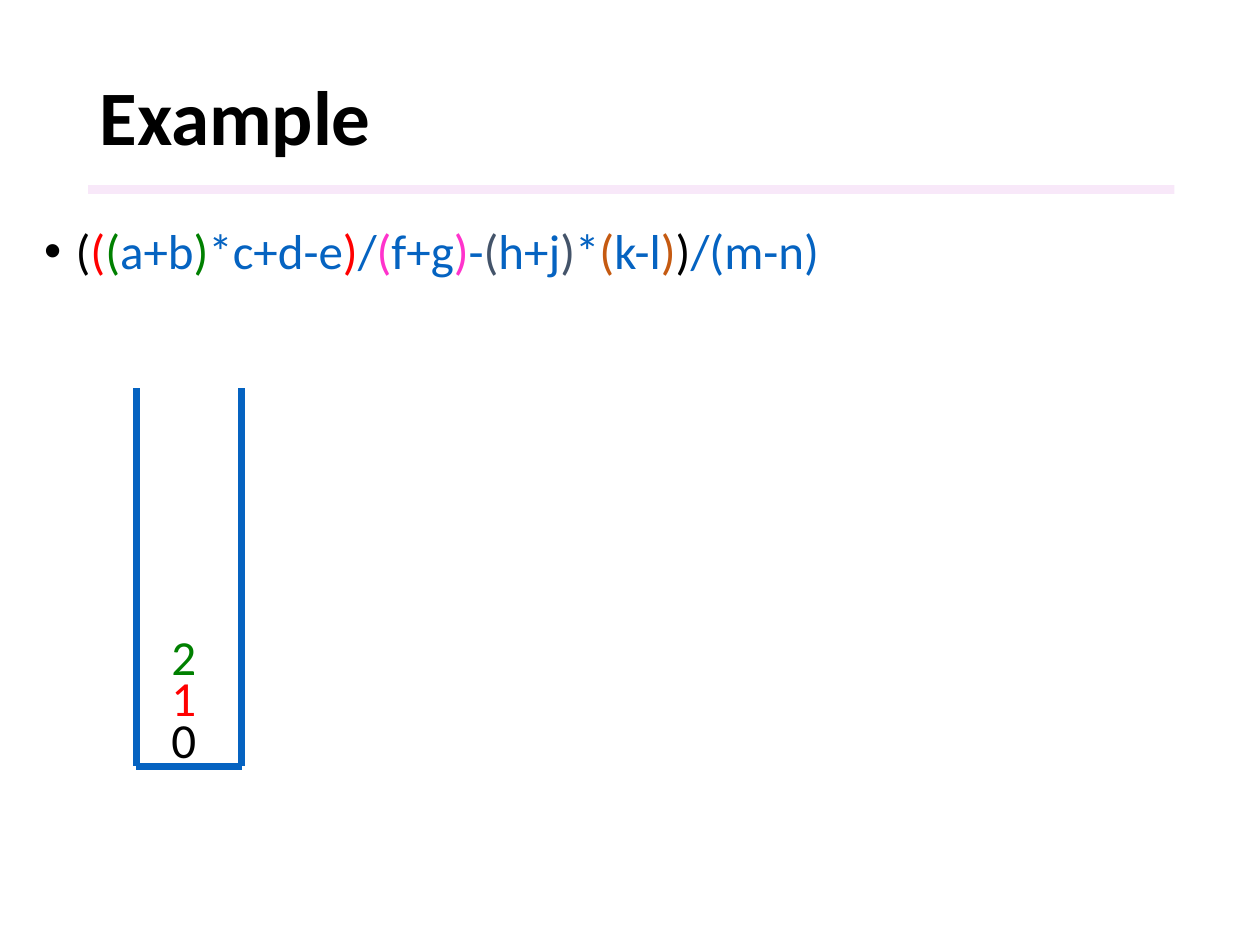
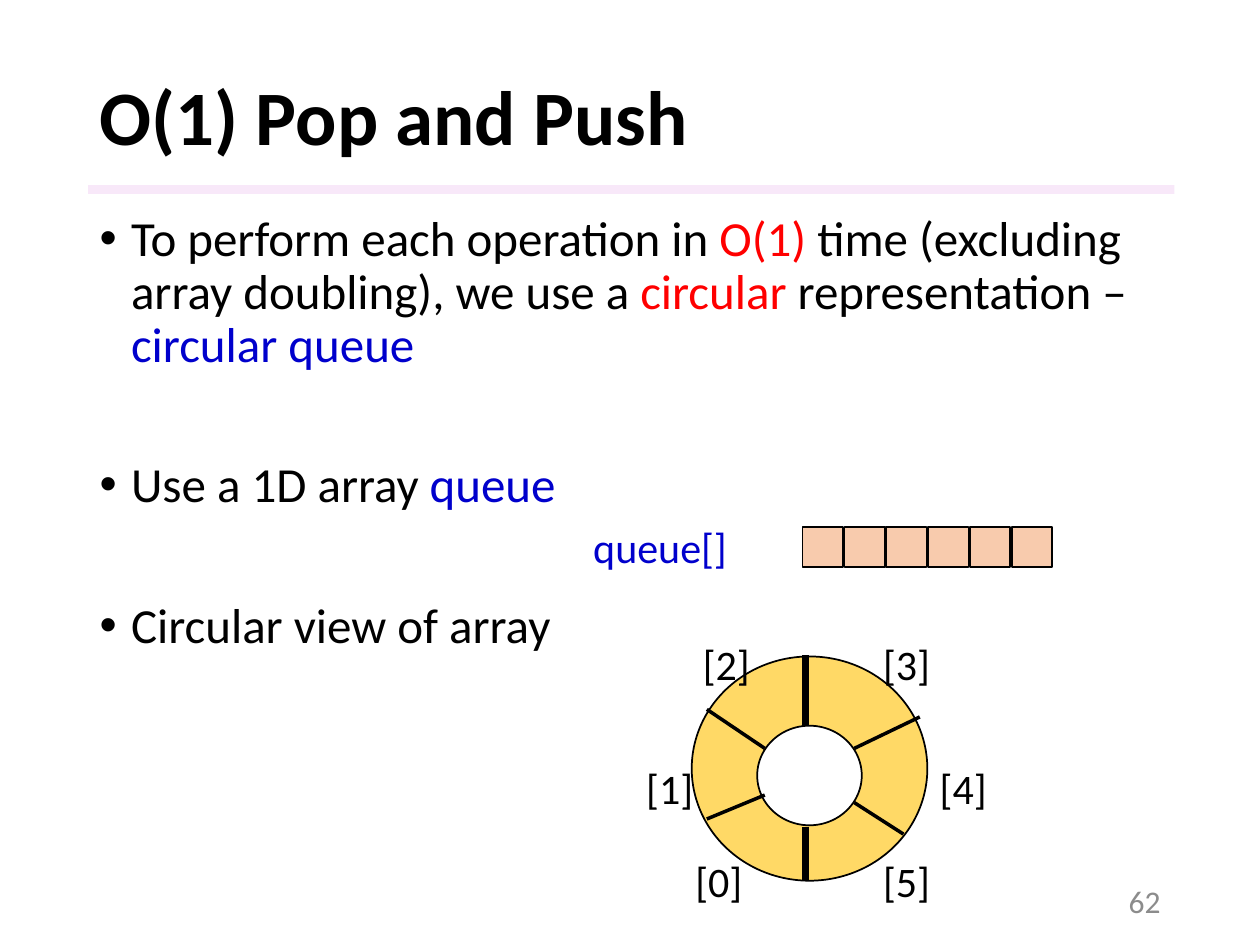
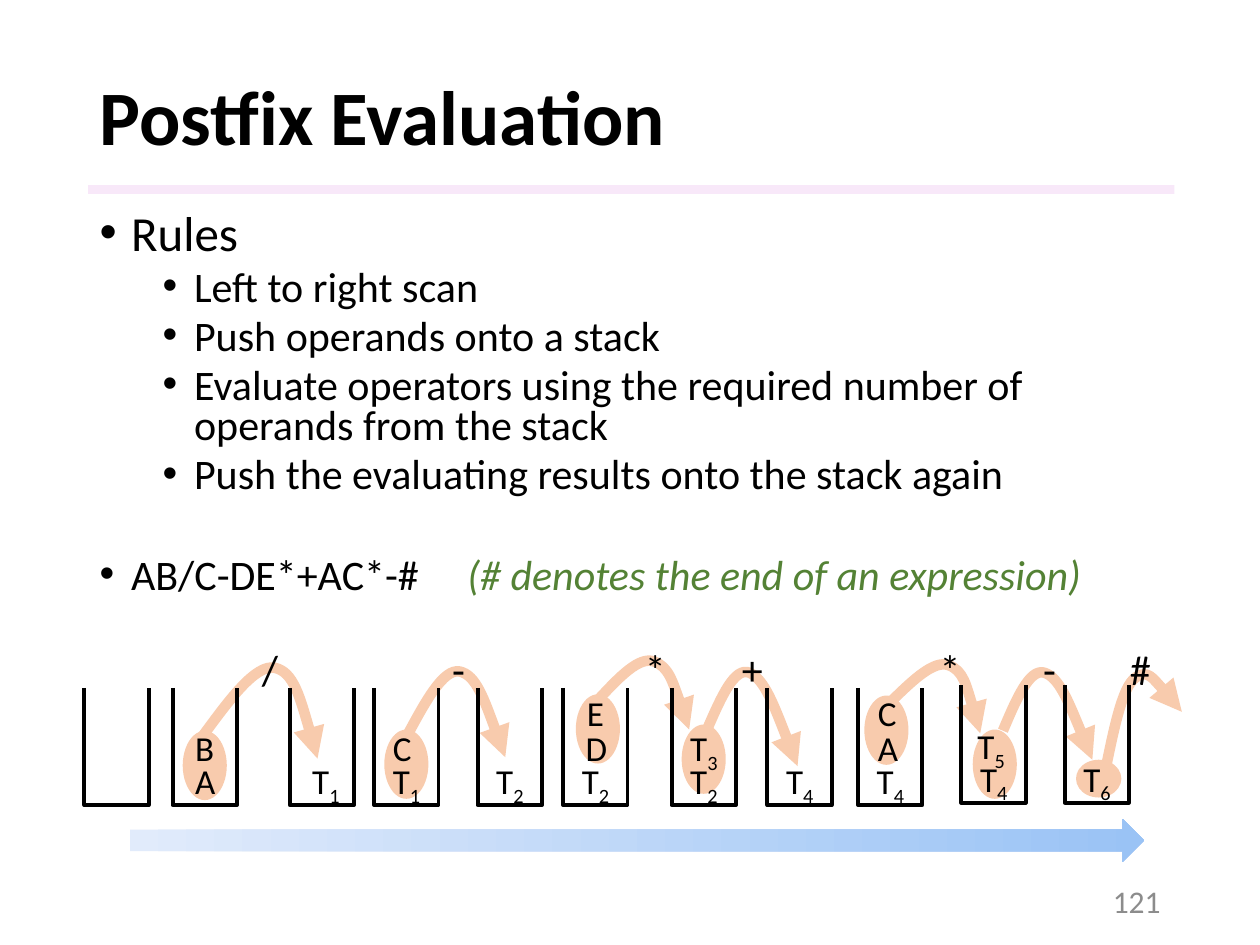
import pptx
import pptx.util
import pptx.dml.color
import pptx.enum.shapes
import pptx.enum.text
import pptx.oxml
import pptx.oxml.ns

Inches, Pt = pptx.util.Inches, pptx.util.Pt
SHAPE = pptx.enum.shapes.MSO_SHAPE
ALIGN = pptx.enum.text.PP_ALIGN
ANCHOR = pptx.enum.text.MSO_ANCHOR
AUTO = pptx.enum.text.MSO_AUTO_SIZE

# Shared look
FONT = "Calibri"
BLACK, WHITE, GREY = "000000", "FFFFFF", "8C8C8C"
RED, GREEN, BLUE, NAVY = "FF0000", "008000", "0563C1", "0000CC"
PINK, SLATE, RUST, MOSS = "FF33CC", "44546A", "C55A11", "548235"
PEACH, YELLOW, BAND = "F8CBAD", "FFD966", "F3D2F4"
TITLE_BOX = (0.69, 0.4, 8.62, 1.11)
BODY_BOX = (0.69, 1.65, 8.62, 5.1)
BAND_BOX = (0.7, 1.47, 8.62, 0.07)
NUMBER_BOX = (7.06, 6.95, 2.25, 0.4)


def rgb(color):
    return pptx.dml.color.RGBColor.from_string(color)


def apply(obj, values):
    for name, value in values.items():
        setattr(obj, name, value)


def place(shape, box):
    apply(shape, dict(zip(("left", "top", "width", "height"), map(Inches, box))))


def xml(tag, **attrs):
    e = pptx.oxml.parse_xml(f"<a:{tag} {pptx.oxml.ns.nsdecls('a')}/>")
    for name, value in attrs.items():
        e.set(name, str(value))
    return e


# Text
def add_run(p, text, color=BLACK, size=28, **font):
    r = p.add_run()
    r.text = text
    apply(r.font, {"name": FONT, "size": Pt(size), **font})
    r.font.color.rgb = rgb(color)
    return r


def add_text(s, box, text, size, color=BLACK, wrap=True, sub="", inset=0.1,
             align=ALIGN.LEFT, anchor=ANCHOR.TOP):
    tf = s.shapes.add_textbox(*map(Inches, box)).text_frame
    apply(tf, {"word_wrap": wrap, "auto_size": AUTO.SHAPE_TO_FIT_TEXT,
               "margin_left": Inches(inset), "vertical_anchor": anchor})
    p = tf.paragraphs[0]
    p.alignment = align
    add_run(p, text, color, size)
    if sub:
        add_run(p, sub, color, size).font._element.set("baseline", "-25000")


def bullet(p, runs, indent=0.25, before=10, spacing=0.9, tab=None):
    pPr = p._p.get_or_add_pPr()
    pPr.set("marL", str(Inches(indent)))
    pPr.set("indent", str(Inches(-0.25)))
    pPr.append(xml("buChar", char="•"))
    if tab:
        tabs = xml("tabLst")
        tabs.append(xml("tab", pos=Inches(tab), algn="l"))
        pPr.append(tabs)
    apply(p, {"line_spacing": spacing, "space_before": Pt(before)})
    for text, color, font in runs:
        add_run(p, text, color, **font)


# Shapes and lines
def add_shape(s, kind, box, fill, line=None):
    shape = s.shapes.add_shape(kind, *map(Inches, box))
    shape.shadow.inherit = False
    shape.fill.solid()
    shape.fill.fore_color.rgb = rgb(fill)
    if line:
        shape.line.color.rgb = rgb(line)
        shape.line.width = Pt(1)
    else:
        shape.line.fill.background()
    return shape


def add_line(s, start, end, color, width):
    c = s.shapes.add_connector(pptx.enum.shapes.MSO_CONNECTOR.STRAIGHT,
                               *map(Inches, start + end))
    c.line.color.rgb = rgb(color)
    c.line.width = Pt(width)
    c._element.spPr.append(xml("effectLst"))


def add_outline(s, points, color, width):
    points = [(Inches(x), Inches(y)) for x, y in points]
    builder = s.shapes.build_freeform(*points[0], scale=1.0)
    builder.add_line_segments(points[1:], close=False)
    shape = builder.convert_to_shape()
    shape.shadow.inherit = False
    shape.fill.background()
    shape.line.color.rgb = rgb(color)
    shape.line.width = Pt(width)
    return shape


def add_hop(s, start, peak, end):
    """Curved arrow through peak, which is tangent there to start-end."""
    def mid(a, b):
        return tuple((u + v) / 2 for u, v in zip(a, b))
    pull = [(e - b) / 6 for b, e in zip(start, end)]
    enter = tuple(v - d for v, d in zip(peak, pull))
    leave = tuple(v + d for v, d in zip(peak, pull))
    shape = add_outline(s, [start, mid(start, enter), enter, peak,
                            leave, mid(leave, end), end], PEACH, 6)
    # Turn each three straight segments into one cubic segment
    segments = shape._element.findall(".//" + pptx.oxml.ns.qn("a:lnTo"))
    outline = segments[0].getparent()
    for i in range(0, len(segments), 3):
        curve = xml("cubicBezTo")
        outline.append(curve)
        for segment in segments[i:i + 3]:
            curve.append(segment[0])
            outline.remove(segment)
    shape.line._get_or_add_ln().append(xml("tailEnd", type="triangle"))


# Slide frame
def set_up_layout(prs, s):
    layout = s.slide_layout
    place(layout.placeholders[0], TITLE_BOX)
    place(layout.placeholders[1], BODY_BOX)
    band = add_shape(s, SHAPE.RECTANGLE, BAND_BOX, BAND)
    band.fill._xPr.find(".//" + pptx.oxml.ns.qn("a:srgbClr")).append(
        xml("alpha", val=50000))
    layout.shapes._spTree.insert(2, band._element)


def new_slide(prs, title, items, number=None, body_box=BODY_BOX):
    s = prs.slides.add_slide(prs.slide_layouts[1])
    if len(prs.slides) == 1:
        set_up_layout(prs, s)
    tf = s.shapes.title.text_frame
    apply(tf, {"vertical_anchor": ANCHOR.MIDDLE, "auto_size": AUTO.NONE})
    p = tf.paragraphs[0]
    apply(p, {"alignment": ALIGN.LEFT, "line_spacing": 0.9})
    add_run(p, title, size=44, bold=True)
    body = s.placeholders[1]
    place(body, body_box)
    tf = body.text_frame
    tf.auto_size = AUTO.NONE
    for i, (runs, fmt) in enumerate(items):
        p = tf.add_paragraph() if i else tf.paragraphs[0]
        bullet(p, runs, **({} if i else {"before": 0}), **fmt)
    if number:
        add_text(s, NUMBER_BOX, number, 18, GREY, align=ALIGN.RIGHT,
                 anchor=ANCHOR.MIDDLE)
    return s


# Parenthesis matching
def open_stack(s, x, y, w, h, items):
    corners = [(x, y), (x, y + h), (x + w, y + h), (x + w, y)]
    for start, end in zip(corners, corners[1:]):
        add_line(s, start, end, BLUE, 4)
    for i, (label, color) in enumerate(items):
        add_text(s, (x + 0.09, y + h - 0.5 - 0.33 * i, 0.58, 0.57), label, 28,
                 color, inset=0.19)


def example_slide(prs):
    parts = [("(", BLACK), ("(", RED), ("(", GREEN), ("a+b", BLUE), (")", GREEN),
             ("*c+d-e", BLUE), (")", RED), ("/", BLUE), ("(", PINK), ("f+g", BLUE),
             (")", PINK), ("-", BLUE), ("(", SLATE), ("h+j", BLUE), (")", SLATE),
             ("*", BLUE), ("(", RUST), ("k-l", BLUE), (")", RUST), (")", BLACK),
             ("/(m-n)", BLUE)]
    s = new_slide(prs, "Example", [([(t, c, {}) for t, c in parts], {})],
                  body_box=(0.25, 1.75, 9.58, 0.75))
    open_stack(s, 1.08, 3.08, 0.84, 3, [("0", BLACK), ("1", RED), ("2", GREEN)])


# Circular queue
def array_row(s, x, y, cells=6, size=0.32, pitch=0.332):
    for i in range(cells):
        add_shape(s, SHAPE.RECTANGLE, (x + 1.76 + pitch * i, y + 0.09, size, size),
                  PEACH, BLACK)
    add_text(s, (x, y, 1.42, 0.51), "queue[]", 24, NAVY)


def ring(s, x, y):
    add_shape(s, SHAPE.OVAL, (x + 0.46, y + 0.19, 1.87, 1.78), YELLOW, BLACK)
    add_shape(s, SHAPE.OVAL, (x + 0.98, y + 0.74, 0.83, 0.79), WHITE, BLACK)
    spokes = [(1.36, 0.18, 1.36, 0.74, 4), (1.36, 1.54, 1.36, 1.97, 4),
              (0.58, 0.61, 1.04, 0.92, 2), (1.04, 1.29, 0.58, 1.48, 2),
              (1.75, 0.92, 2.27, 0.67, 2), (1.75, 1.35, 2.14, 1.6, 2)]
    for x1, y1, x2, y2, width in spokes:
        add_line(s, (x + x1, y + y1), (x + x2, y + y2), BLACK, width)
    labels = [(0.39, 1.72), (0, 0.98), (0.45, 0), (1.88, 0), (2.33, 0.98), (1.88, 1.72)]
    for i, (dx, dy) in enumerate(labels):
        add_text(s, (x + dx, y + dy, 0.71, 0.37), f"[{i}]", 24)


def queue_slide(prs):
    items = [
        ([("To perform each operation in ", BLACK, {}), ("O(1) ", RED, {}),
          ("time (excluding array doubling), we use a ", BLACK, {}),
          ("circular", RED, {}), (" representation – ", BLACK, {}),
          ("circular queue", NAVY, {})], {}),
        ([("Use a 1D array ", BLACK, {}), ("queue", NAVY, {})], {"before": 50}),
        ([("Circular view of array", BLACK, {})], {"before": 50}),
    ]
    s = new_slide(prs, "O(1) Pop and Push", items, "62")
    array_row(s, 4.61, 4.09)
    ring(s, 5.03, 5.02)


# Postfix evaluation
# operator, its left and width, curve start, peak and end, left and top of the oval
STEPS = [
    ("/", 1.31, 0.33, (0.94, 0.78), (1.51, 0.24), (1.85, 0.96), (0.78, 0.74)),
    ("-", 2.82, 0.31, (2.56, 0.78), (2.98, 0.27), (3.34, 0.95), (2.38, 0.73)),
    ("*", 4.35, 0.37, (4.09, 0.48), (4.52, 0.19), (4.8, 0.73), (3.9, 0.45)),
    ("+", 5.12, 0.37, (4.95, 0.71), (5.28, 0.28), (5.66, 1.02), (4.74, 0.69)),
    ("*", 6.69, 0.37, (6.41, 0.5), (6.86, 0.22), (7.11, 0.76), (6.19, 0.46)),
    ("-", 7.51, 0.31, (7.29, 0.74), (7.62, 0.28), (8, 0.97), (7.05, 0.73)),
    ("#", 8.2, 0.37, (8.11, 1.02), (8.34, 0.32), (8.71, 0.59), (7.87, 0.97)),
]
# left and top of the stack, then its items from the bottom up with their indents
STACKS = [
    (0, 0.4, []),
    (0.7, 0.4, [("A", 0.08), ("B", 0.08)]),
    (1.63, 0.4, [("T1", 0.08)]),
    (2.3, 0.4, [("T1", 0.05), ("C", 0.05)]),
    (3.12, 0.4, [("T2", 0.05)]),
    (3.8, 0.4, [("T2", 0.05), ("D", 0.08), ("E", 0.09)]),
    (4.66, 0.4, [("T2", 0.05), ("T3", 0.05)]),
    (5.42, 0.4, [("T4", 0.05)]),
    (6.14, 0.4, [("T4", 0.05), ("A", 0.06), ("C", 0.06)]),
    (6.96, 0.38, [("T4", 0.05), ("T5", 0.03)]),
    (7.78, 0.38, [("T6", 0.05)]),
]


def small_stack(s, x, y, items, w=0.51, h=0.93):
    add_outline(s, [(x, y), (x, y + h), (x + w, y + h), (x + w, y)], BLACK, 2.25)
    for (label, dx), dy in zip(items, (0.52, 0.26, -0.02)):
        width = 0.43 if len(label) > 1 else 0.36
        add_text(s, (x + dx, y + dy, width, 0.44), label[0], 20, wrap=False,
                 sub=label[1:])


def evaluation_row(s, x, y):
    def at(point):
        return x + point[0], y + point[1]
    for sign, sx, width, start, peak, end, oval in STEPS:
        add_hop(s, at(start), at(peak), at(end))
        size = (0.36, 0.3) if sign == "#" else (0.35, 0.55)
        add_shape(s, SHAPE.OVAL, at(oval) + size, PEACH)
    for sx, sy, items in STACKS:
        small_stack(s, x + sx, y + sy, items)
    for sign, sx, width, *_ in STEPS:
        add_text(s, (x + sx, y, width, 0.5), sign, 24, wrap=False)
    # Direction of the scan
    arrow = add_shape(s, SHAPE.RIGHT_ARROW, (x + 0.36, y + 1.44, 8.05, 0.34), PEACH)
    arrow.fill.gradient()
    arrow.fill.gradient_angle = 0
    for stop, color in zip(arrow.fill.gradient_stops, ("E1EBFB", "9AC3F5")):
        stop.color.rgb = rgb(color)


def postfix_slide(prs):
    rules = ["Left to right scan", "Push operands onto a stack",
             "Evaluate operators using the required number of operands from the stack",
             "Push the evaluating results onto the stack again"]
    small = {"size": 24}
    items = [([("Rules", BLACK, {})], {"spacing": 0.8})]
    items += [([(rule, BLACK, small)], {"indent": 0.75, "before": 5, "spacing": 0.8})
              for rule in rules]
    items.append(([("AB/C-DE*+AC*-#\t", BLACK, small),
                   ("(# denotes the end of an expression)", MOSS,
                    {"size": 24, "italic": True})],
                  {"before": 34.5, "spacing": 0.8, "tab": 2.92}))
    s = new_slide(prs, "Postfix Evaluation", items, "121", (0.69, 1.65, 8.62, 3.34))
    evaluation_row(s, 0.67, 5.06)


def main():
    prs = pptx.Presentation()
    prs.slide_width, prs.slide_height = Inches(10), Inches(7.5)
    example_slide(prs)
    queue_slide(prs)
    postfix_slide(prs)
    prs.save("out.pptx")


if __name__ == "__main__":
    main()
